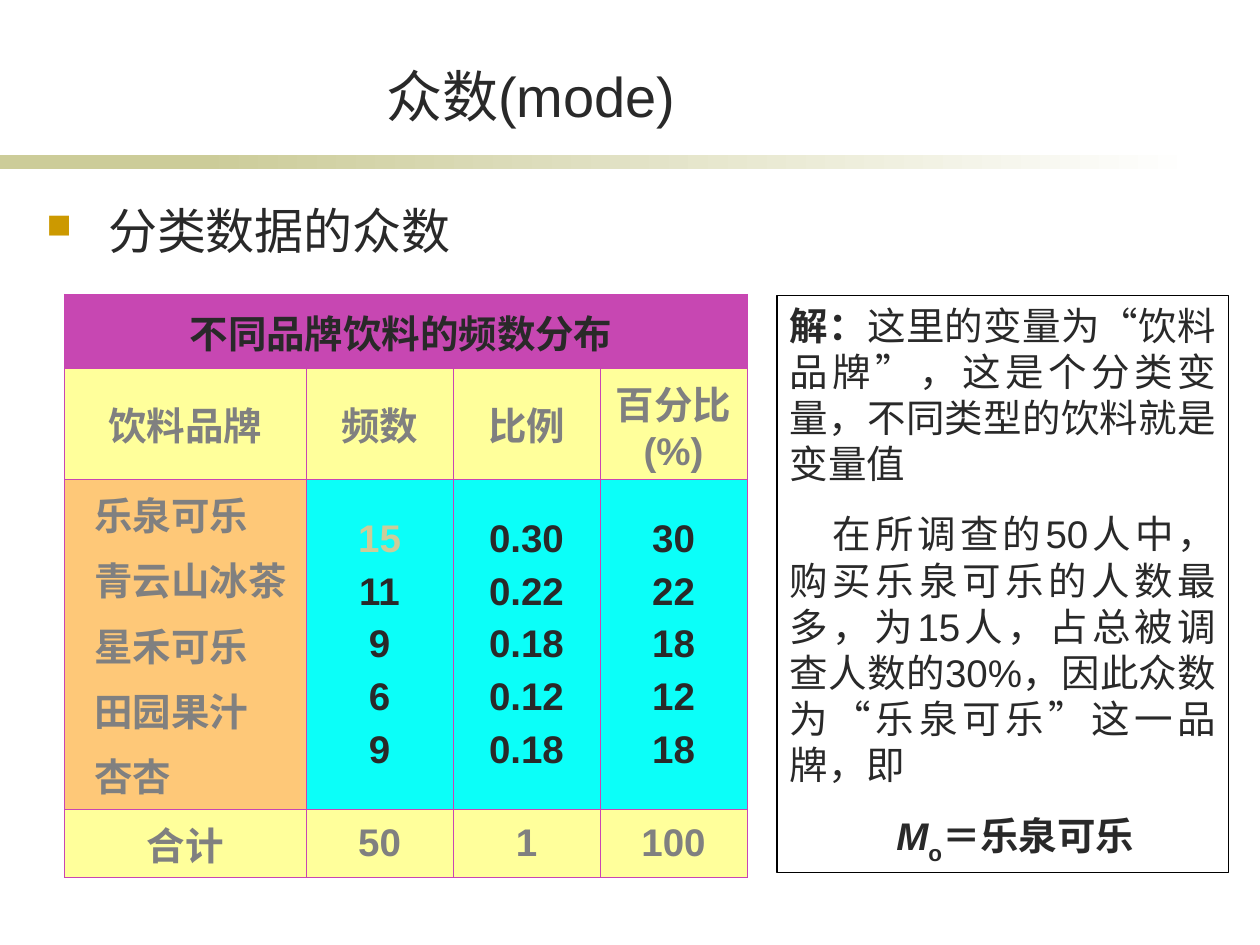
from lxml import etree
from pptx import Presentation
from pptx.dml.color import RGBColor
from pptx.enum.shapes import MSO_SHAPE
from pptx.enum.text import MSO_ANCHOR, PP_ALIGN
from pptx.oxml import parse_xml
from pptx.util import Pt

RECT = MSO_SHAPE.RECTANGLE
MIDDLE, TOP, BOTTOM = MSO_ANCHOR.MIDDLE, MSO_ANCHOR.TOP, MSO_ANCHOR.BOTTOM
LEFT, CENTER, JUSTIFY = PP_ALIGN.LEFT, PP_ALIGN.CENTER, PP_ALIGN.JUSTIFY
NS = "http://schemas.openxmlformats.org/drawingml/2006/main"

DARK, GRAY, SAND, GOLD = "292929", "808080", "CCCC99", "CC9900"
PINK, CREAM, PEACH, AQUA = "C747B2", "FFFF9B", "FEC878", "0BFFF9"
EDGE = "C945B3"

TITLE = "众数(mode)"
POINT = "分类数据的众数"
HEAD = "不同品牌饮料的频数分布"
LABELS = ["饮料品牌", "频数", "比例", "百分比(%)"]
DRINKS = [
    ("乐泉可乐", "15", "0.30", "30"),
    ("青云山冰茶", "11", "0.22", "22"),
    ("星禾可乐", "9", "0.18", "18"),
    ("田园果汁", "6", "0.12", "12"),
    ("杏杏", "9", "0.18", "18"),
]
TOTALS = ["合计", "50", "1", "100"]
WIDTHS = [138.2, 84, 84, 84]
HEIGHTS = [42.5, 63.4, 188.6, 39]

NOTES = [
    (0, [("解：", "b"), ("这里的变量为“饮料品牌”，这是个分类变量，不同类型的饮料就是变量值", "")]),
    (24.5, [("在所调查的50人中，购买乐泉可乐的人数最多，为15人，占总被调查人数的30%，"
             "因此众数为“乐泉可乐”这一品牌，即", "")]),
    (61, [("M", "bi"), ("o", "bs"), ("＝乐泉可乐", "b")]),
]


def rgb(code):
    return RGBColor.from_string(code)


def style(para, size, color, bold=False, align=LEFT, before=0):
    font = para.font
    font.name, font.size, font.bold = "Arial", Pt(size), bold
    font.color.rgb = rgb(color)
    para.alignment, para.space_before = align, Pt(before)


def indent(para, first, left=0):
    props = para._p.get_or_add_pPr()
    props.set("marL", str(Pt(left)))
    props.set("indent", str(Pt(first)))
    props.set("hangingPunct", "0")
    return props


def border(cell):
    props = cell._tc.get_or_add_tcPr()
    for side in "LRTB":
        props.append(parse_xml(
            f'<a:ln{side} xmlns:a="{NS}" w="{Pt(0.45)}"><a:solidFill>'
            f'<a:srgbClr val="{EDGE}"/></a:solidFill></a:ln{side}>'))


def paint(cell, lines, fill, color, align=CENTER, before=5.5):
    border(cell)
    cell.fill.solid()
    cell.fill.fore_color.rgb = rgb(fill)
    cell.vertical_anchor = MIDDLE
    frame = cell.text_frame
    frame.text = "\n".join(lines)
    for para in frame.paragraphs:
        style(para, 22, color, True, align, before)


def add_bar(slide, left, width):
    bar = slide.shapes.add_shape(RECT, Pt(left), Pt(88.6), Pt(width), Pt(8))
    bar.shadow.inherit = False
    bar.line.fill.background()
    return bar.fill


def add_top(slide):
    plain = add_bar(slide, 0, 168)
    plain.solid()
    plain.fore_color.rgb = rgb(SAND)
    fade = add_bar(slide, 114, 570)
    fade.gradient()
    fade.gradient_angle = 0
    for stop, code in zip(fade.gradient_stops, (SAND, "FFFFFF")):
        stop.color.rgb = rgb(code)

    title = slide.shapes.title
    title.left, title.top, title.width, title.height = Pt(82.4), Pt(31.7), Pt(442), Pt(45.4)
    frame = title.text_frame
    frame.text, frame.vertical_anchor = TITLE, BOTTOM
    style(frame.paragraphs[0], 32, DARK, align=CENTER)


def add_point(slide):
    frame = slide.shapes.add_textbox(Pt(19.4), Pt(111.3), Pt(658), Pt(351.4)).text_frame
    frame.word_wrap = True
    frame.text = POINT
    para = frame.paragraphs[0]
    style(para, 28, DARK, before=7)
    props = indent(para, -35.3, 35.3)
    color = etree.SubElement(props, f"{{{NS}}}buClr")
    etree.SubElement(color, f"{{{NS}}}srgbClr", val=GOLD)
    etree.SubElement(props, f"{{{NS}}}buSzPct", val="70000")
    etree.SubElement(props, f"{{{NS}}}buFont", typeface="Wingdings", charset="2")
    etree.SubElement(props, f"{{{NS}}}buChar", char="n")


def add_grid(slide):
    grid = slide.shapes.add_table(
        4, 4, Pt(36.7), Pt(168.1), Pt(sum(WIDTHS)), Pt(sum(HEIGHTS))).table
    for col, width in zip(grid.columns, WIDTHS):
        col.width = Pt(width)
    for row, height in zip(grid.rows, HEIGHTS):
        row.height = Pt(height)
    head = grid.cell(0, 0)
    head.merge(grid.cell(0, 3))
    paint(head, [HEAD], PINK, DARK, before=12.5)
    head.margin_right = Pt(12.5)
    for i, lines in enumerate(zip(*DRINKS)):
        paint(grid.cell(1, i), [LABELS[i]], CREAM, GRAY)
        paint(grid.cell(3, i), [TOTALS[i]], CREAM, GRAY)
        if i:
            paint(grid.cell(2, i), lines, AQUA, DARK)
        else:
            paint(grid.cell(2, i), lines, PEACH, GRAY, LEFT)
    for para in grid.cell(2, 0).text_frame.paragraphs:
        indent(para, 0, 10)
    grid.cell(2, 1).text_frame.paragraphs[0].font.color.rgb = rgb(SAND)


def add_notes(slide):
    box = slide.shapes.add_shape(RECT, Pt(444.2), Pt(168.8), Pt(257.8), Pt(329.8))
    box.shadow.inherit = False
    box.fill.background()
    box.line.color.rgb, box.line.width = rgb("000000"), Pt(1)
    frame = box.text_frame
    frame.word_wrap, frame.vertical_anchor = True, TOP
    for i, (first, runs) in enumerate(NOTES):
        para = frame.add_paragraph() if i else frame.paragraphs[0]
        style(para, 22, DARK, align=JUSTIFY, before=13.8)
        indent(para, first)
        for text, marks in runs:
            run = para.add_run()
            run.text = text
            run.font.bold, run.font.italic = "b" in marks, "i" in marks
            if "s" in marks:
                run._r.get_or_add_rPr().set("baseline", "-30000")


def main():
    deck = Presentation()
    deck.slide_width, deck.slide_height = Pt(720), Pt(540)
    slide = deck.slides.add_slide(deck.slide_layouts[5])
    add_top(slide)
    add_point(slide)
    add_grid(slide)
    add_notes(slide)
    deck.save("out.pptx")


if __name__ == "__main__":
    main()
